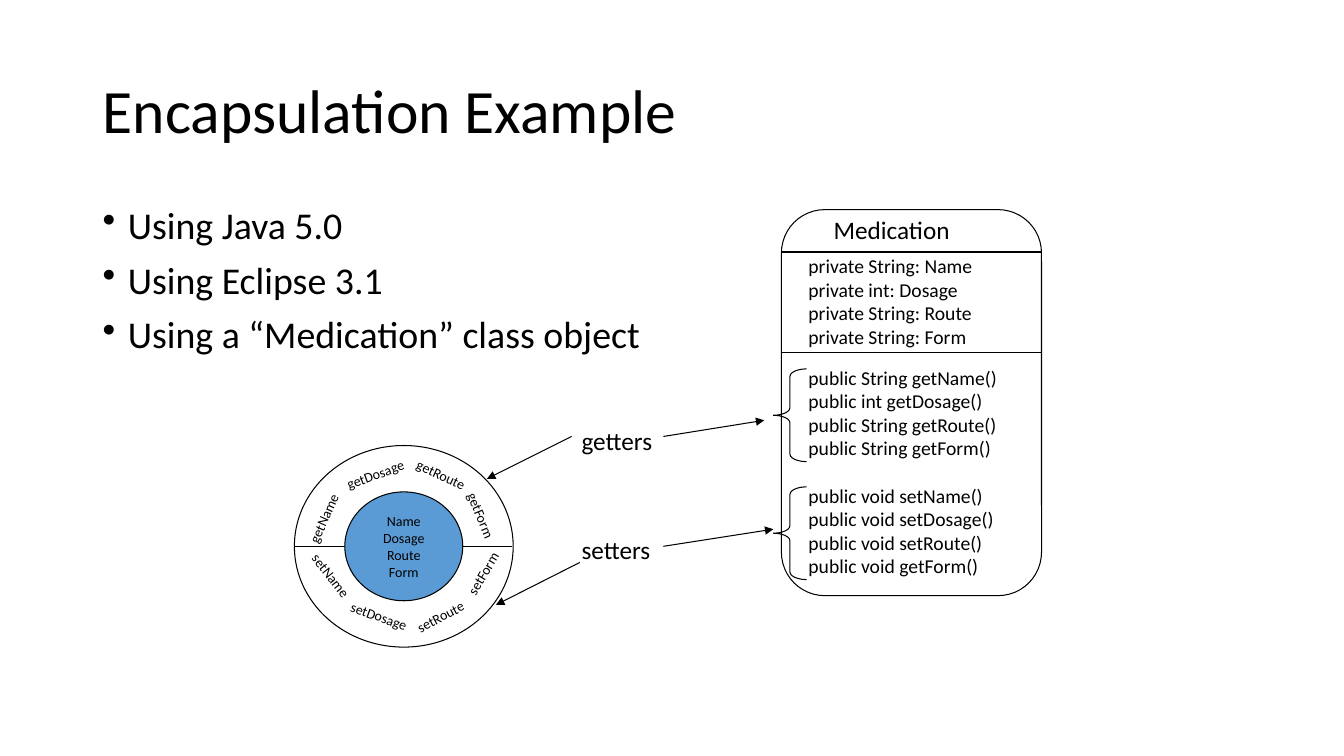
from lxml import etree
from pptx import Presentation
from pptx.dml.color import RGBColor
from pptx.enum import shapes, text
from pptx.oxml import ns
from pptx.util import Inches, Pt

BLACK = RGBColor(0x00, 0x00, 0x00)
BLUE = RGBColor(0x5B, 0x9B, 0xD5)
FONT = "Calibri"
KINDS = shapes.MSO_SHAPE

FIELDS = ["private String: Name", "private int: Dosage",
          "private String: Route", "private String: Form"]
GETTERS = ["public String getName()", "public int getDosage()",
           "public String getRoute()", "public String getForm()"]
SETTERS = ["public void setName()", "public void setDosage()",
           "public void setRoute()", "public void getForm()"]
TOPICS = ["Using Java 5.0", "Using Eclipse 3.1",
          "Using a “Medication” class object"]
RING_LABELS = [
    ("getName", 2.85, 5, 0.73, 294.1),
    ("getDosage", 3.33, 4.57, 0.8, 340.2),
    ("getRoute", 4.02, 4.58, 0.73, 24.8),
    ("getForm", 4.43, 4.99, 0.69, 67.7),
    ("setName", 2.93, 5.58, 0.71, 52.1),
    ("setDosage", 3.37, 5.98, 0.79, 19.8),
    ("setRoute", 4.02, 5.98, 0.71, 332.4),
    ("setForm", 4.46, 5.55, 0.67, 300.6),
]
DIVIDERS = [(2.92, 5.42, 5.08, 5.42), (7.75, 2.5, 10.33, 2.5),
            (7.75, 3.5, 10.33, 3.5)]
ARROWS = [(6.58, 4.33, 7.58, 4.17), (6.58, 5.42, 7.67, 5.25),
          (5.67, 4.33, 4.83, 4.75), (5.75, 5.58, 4.92, 6)]


def write(shape, lines, size, wrap=False):
    """Fill a shape with one paragraph per line and return its frame."""
    frame = shape.text_frame
    frame.text = "\n".join(lines)
    frame.word_wrap = wrap
    for para in frame.paragraphs:
        para.font.name = FONT
        para.font.size = Pt(size)
        para.font.color.rgb = BLACK
    return frame


def add_text(page, lines, place, size, wrap=False, rotation=0):
    """Add a text box and return its frame."""
    box = page.shapes.add_textbox(*map(Inches, place))
    box.rotation = rotation
    return write(box, lines, size, wrap)


def add_title(page, title):
    """Add the slide heading."""
    frame = add_text(page, [title], (0.92, 0.4, 11.5, 1.45), 44, wrap=True)
    frame.vertical_anchor = text.MSO_ANCHOR.MIDDLE
    frame.paragraphs[0].line_spacing = 0.9


def add_bullets(page, lines, place, size):
    """Add a bulleted list with hanging indents."""
    frame = add_text(page, lines, place, size, wrap=True)
    for index, para in enumerate(frame.paragraphs):
        properties = para._p.get_or_add_pPr()
        properties.set("marL", str(Inches(0.25)))
        properties.set("indent", str(Inches(-0.25)))
        bullet = etree.Element(ns.qn("a:buChar"), char="•")
        properties.insert_element_before(bullet, "a:tabLst", "a:defRPr", "a:extLst")
        para.line_spacing = 0.9
        para.space_before = Pt(10 if index else 0)


def add_outline(page, kind, place, fill=None, adjustments=()):
    """Add a thinly outlined shape, filled only when a colour is given."""
    shape = page.shapes.add_shape(kind, *map(Inches, place))
    shape.shadow.inherit = False
    shape.line.color.rgb = BLACK
    shape.line.width = Pt(0.75)
    if fill is None:
        shape.fill.background()
    else:
        shape.fill.solid()
        shape.fill.fore_color.rgb = fill
    for index, value in enumerate(adjustments):
        shape.adjustments[index] = value
    return shape


def add_line(page, ends, arrow=False):
    """Add a straight line, optionally with an arrowhead at its end."""
    line = page.shapes.add_connector(shapes.MSO_CONNECTOR.STRAIGHT, *map(Inches, ends))
    line.line.color.rgb = BLACK
    line.line.width = Pt(0.75)
    if arrow:
        etree.SubElement(line.line._get_or_add_ln(), ns.qn("a:tailEnd"), type="triangle")
    etree.SubElement(line._element.spPr, ns.qn("a:effectLst"))


def add_class_box(page):
    """Draw the Medication class with its fields and methods."""
    add_outline(page, KINDS.ROUNDED_RECTANGLE, (7.75, 2.08, 2.58, 3.83), adjustments=[0.167])
    add_text(page, ["Medication"], (8.17, 2.08, 1.41, 0.4), 18)
    add_text(page, FIELDS, (7.92, 2.47, 1.84, 1.04), 14)
    for methods, top in ((GETTERS, 3.58), (SETTERS, 4.75)):
        add_text(page, methods, (7.92, top, 2.33, 1.04), 14, wrap=True)
        add_outline(page, KINDS.LEFT_BRACE, (7.67, top + 0.08, 0.33, 0.92),
                    adjustments=[0.229, 0.5])


def add_ring(page):
    """Draw the data core inside its ring of accessor methods."""
    core = add_outline(page, KINDS.OVAL, (3.42, 4.88, 1.17, 1.08), BLUE)
    frame = write(core, ["Name", "Dosage", "Route", "Form"], 10)
    frame.vertical_anchor = text.MSO_ANCHOR.MIDDLE
    for para in frame.paragraphs:
        para.alignment = text.PP_ALIGN.CENTER
    add_outline(page, KINDS.OVAL, (2.92, 4.42, 2.17, 2))
    for label, left, top, width, rotation in RING_LABELS:
        add_text(page, [label], (left, top, width, 0.27), 10, rotation=rotation)


def main():
    """Build the encapsulation slide."""
    deck = Presentation()
    deck.slide_width = Inches(13.33)
    deck.slide_height = Inches(7.5)
    page = deck.slides.add_slide(deck.slide_layouts[6])
    for ends in DIVIDERS:
        add_line(page, ends)
    add_title(page, "Encapsulation Example")
    add_bullets(page, TOPICS, (0.92, 2, 5.67, 4.76), 27)
    add_class_box(page)
    add_ring(page)
    add_text(page, ["getters"], (5.67, 4.17, 0.91, 0.4), 18)
    add_text(page, ["setters"], (5.67, 5.25, 0.89, 0.4), 18)
    for ends in ARROWS:
        add_line(page, ends, arrow=True)
    deck.save("out.pptx")


if __name__ == "__main__":
    main()
